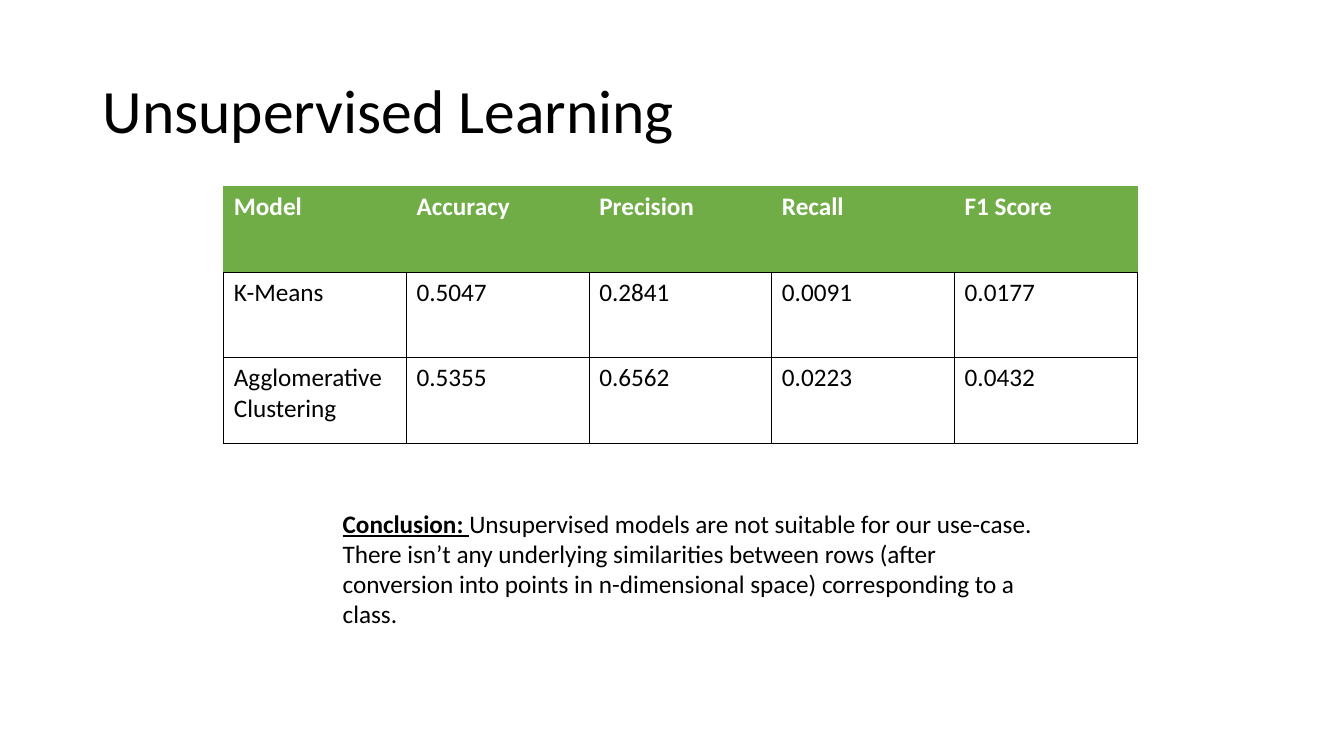
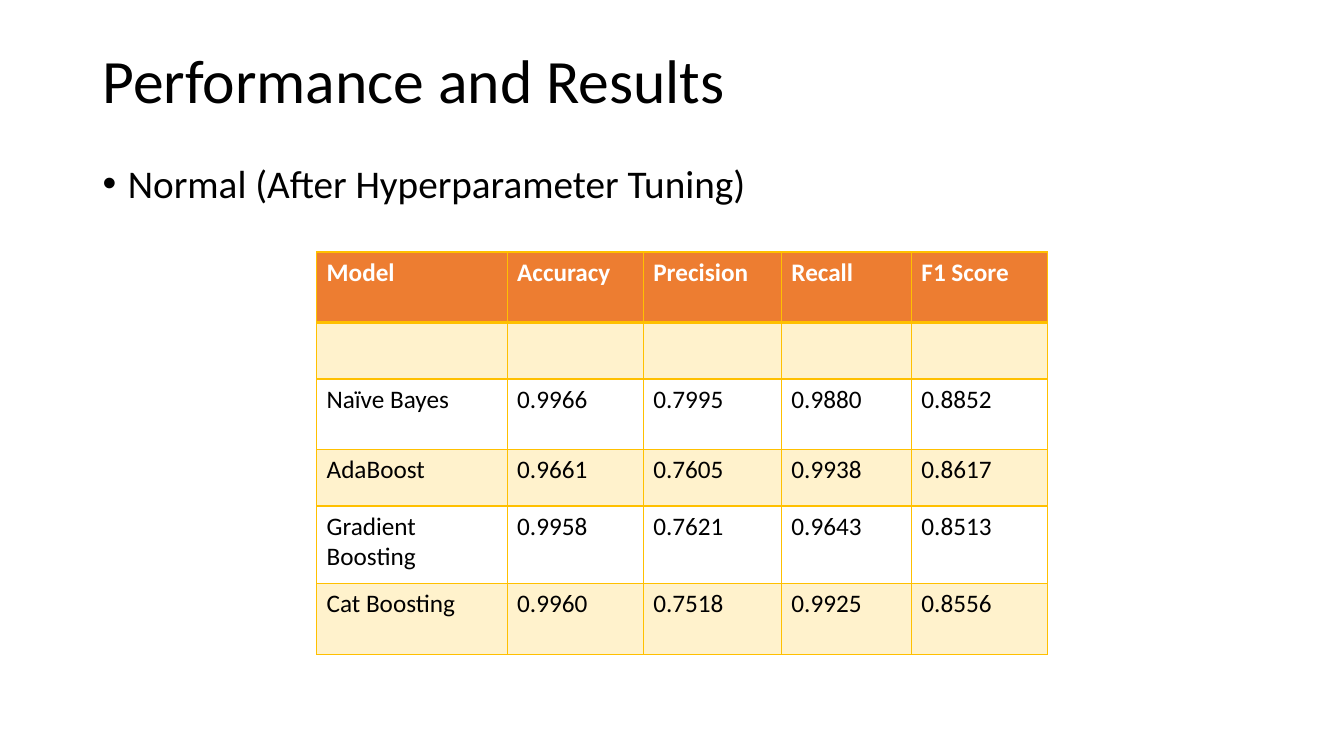
from lxml.etree import SubElement
from pptx import Presentation
from pptx.dml.color import RGBColor
from pptx.enum.text import MSO_ANCHOR
from pptx.oxml import parse_xml
from pptx.oxml.ns import nsdecls, qn
from pptx.util import Inches, Pt

FONT = "Calibri"
BLACK, WHITE = "000000", "FFFFFF"
GREEN, ORANGE, GOLD, CREAM = "70AD47", "ED7D31", "FFC000", "FFF2CC"
HEAD = ("Model", "Accuracy", "Precision", "Recall", "F1 Score")

CLUSTER = {
    "at": (2.22, 1.85),
    "cols": [1.812] * 5,
    "heights": [0.85] * 3,
    "head": GREEN, "edge": GREEN, "line": BLACK, "rule": 1, "band": None,
    "rows": [
        HEAD,
        ("K-Means", "0.5047", "0.2841", "0.0091", "0.0177"),
        ("Agglomerative\nClustering", "0.5355", "0.6562", "0.0223", "0.0432"),
    ],
}
TUNED = {
    "at": (3.14, 2.5),
    "cols": [1.89, 1.35, 1.37, 1.29, 1.35],
    "heights": [0.7, 0.56, 0.7, 0.56, 0.77, 0.7],
    "head": ORANGE, "edge": GOLD, "line": GOLD, "rule": 2, "band": CREAM,
    "rows": [
        HEAD,
        ("",) * 5,
        ("Naïve Bayes", "0.9966", "0.7995", "0.9880", "0.8852"),
        ("AdaBoost", "0.9661", "0.7605", "0.9938", "0.8617"),
        ("Gradient Boosting", "0.9958", "0.7621", "0.9643", "0.8513"),
        ("Cat Boosting", "0.9960", "0.7518", "0.9925", "0.8556"),
    ],
}
LABEL = "Conclusion: "
CLAIM = (
    "Unsupervised models are not suitable for our use-case. There isn’t any "
    "underlying similarities between rows (after conversion into points in "
    "n-dimensional space) corresponding to a class."
)


def rgb(code):
    return RGBColor.from_string(code)


def style(part, size, color=BLACK, bold=False):
    font = part.font
    font.name, font.size, font.bold = FONT, Pt(size), bold
    font.color.rgb = rgb(color)


def add_text(slide, box, text, size, space=None):
    frame = slide.shapes.add_textbox(*map(Inches, box)).text_frame
    frame.word_wrap = True
    para = frame.paragraphs[0]
    para.text = text
    para.line_spacing = space
    style(para, size)
    return frame


def add_title(slide, text, height):
    frame = add_text(slide, (0.92, 0.4, 11.5, height), text, 44, 0.9)
    frame.vertical_anchor = MSO_ANCHOR.MIDDLE


def add_bullet(slide, box, text):
    para = add_text(slide, box, text, 28, 0.9).paragraphs[0]
    para.space_before = Pt(10)
    props = para._p.get_or_add_pPr()
    props.set("marL", str(Inches(0.25)))
    props.set("indent", str(-Inches(0.25)))
    SubElement(props, qn("a:buFont")).set("typeface", "Arial")
    SubElement(props, qn("a:buChar")).set("char", "•")


def set_edges(cell, edges):
    props = cell._tc.get_or_add_tcPr()
    for i, (side, (color, width)) in enumerate(zip("LRTB", edges)):
        props.insert(i, parse_xml(
            f'<a:ln{side} {nsdecls("a")} w="{Pt(width)}"><a:solidFill>'
            f'<a:srgbClr val="{color}"/></a:solidFill></a:ln{side}>'))


def add_grid(slide, data):
    rows, cols, heights = data["rows"], data["cols"], data["heights"]
    size = sum(cols), sum(heights)
    grid = slide.shapes.add_table(
        len(rows), len(cols), *map(Inches, data["at"] + size)).table
    grid.horz_banding = False
    for col, width in zip(grid.columns, cols):
        col.width = Inches(width)
    for row, height in zip(grid.rows, heights):
        row.height = Inches(height)
    edge, line = (data["edge"], 1), (data["line"], 1)
    rule = (data["line"], data["rule"])
    for r, row in enumerate(rows):
        top = r == 0
        fill = data["head"] if top else data["band"] if r % 2 else None
        if top:
            edges = edge, edge, edge, rule
        else:
            edges = line, line, rule if r == 1 else line, line
        for c, text in enumerate(row):
            cell = grid.cell(r, c)
            cell.text = text
            for para in cell.text_frame.paragraphs:
                style(para, 18, WHITE if top else BLACK, top)
            if fill:
                cell.fill.solid()
                cell.fill.fore_color.rgb = rgb(fill)
            else:
                cell.fill.background()
            set_edges(cell, edges)


def add_claim(slide):
    para = add_text(slide, (3.3, 4.99, 7.05, 1.31), "", 18).paragraphs[0]
    for text, strong in ((LABEL, True), (CLAIM, False)):
        run = para.add_run()
        run.text = text
        style(run, 18, bold=strong)
        run.font.underline = strong


def main():
    """Build the two model result slides."""
    deck = Presentation()
    deck.slide_width, deck.slide_height = Inches(13.33), Inches(7.5)
    blank = deck.slide_layouts[6]

    slide = deck.slides.add_slide(blank)
    add_title(slide, "Unsupervised Learning", 1.45)
    add_grid(slide, CLUSTER)
    add_claim(slide)

    slide = deck.slides.add_slide(blank)
    add_title(slide, "Performance and Results", 0.86)
    add_bullet(slide, (0.92, 1.58, 6.61, 0.6),
               "Normal (After Hyperparameter Tuning)")
    add_grid(slide, TUNED)

    deck.save("out.pptx")


if __name__ == "__main__":
    main()
